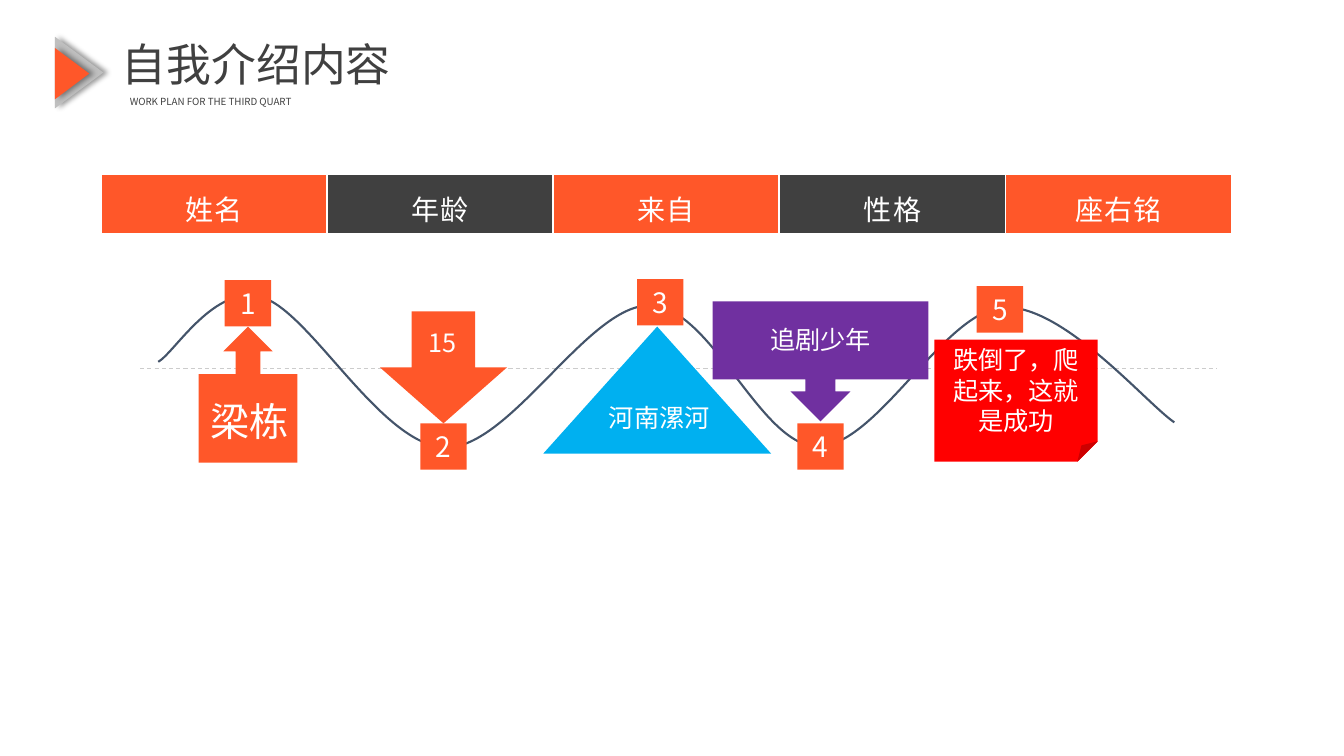
from lxml.etree import SubElement
from pptx import Presentation
from pptx.dml.color import RGBColor
from pptx.enum.dml import MSO_LINE
from pptx.enum.shapes import MSO_CONNECTOR, MSO_SHAPE as SHAPE
from pptx.enum.text import MSO_ANCHOR as ANCHOR, MSO_AUTO_SIZE as AUTO_SIZE, PP_ALIGN as ALIGN
from pptx.oxml import parse_xml
from pptx.oxml.ns import nsdecls, qn
from pptx.util import Inches, Pt

FONT = "Noto Sans CJK SC"
COLORS = {
    "orange": "FF5729", "dark": "404040", "white": "FFFFFF", "gray": "BFBFBF",
    "dash": "CCCCCC", "navy": "44546A", "blue": "00B0F0", "purple": "7030A0",
    "red": "FF0000",
}


def color(name):
    return RGBColor.from_string(COLORS[name])


def set_format(target, **values):
    for name, value in values.items():
        setattr(target, name, value)


def write(text_frame, text, size, ink="white", align=ALIGN.CENTER, spacing=None):
    paragraph = text_frame.paragraphs[0]
    set_format(paragraph, alignment=align, line_spacing=spacing)
    run = paragraph.add_run()
    run.text = text
    set_format(run.font, size=Pt(size), name=FONT)
    run.font.color.rgb = color(ink)
    SubElement(run.font._element, qn("a:ea")).set("typeface", FONT)
    return run


def add_text(parent, box, text, size, **options):
    text_box = parent.shapes.add_textbox(*map(Inches, box))
    set_format(text_box.text_frame, word_wrap=True, auto_size=AUTO_SIZE.SHAPE_TO_FIT_TEXT)
    write(text_box.text_frame, text, size, **options)


def add_block(parent, kind, box, fill):
    shape = parent.shapes.add_shape(kind, *map(Inches, box))
    shape.shadow.inherit = False
    shape.fill.solid()
    shape.fill.fore_color.rgb = color(fill)
    shape.line.fill.background()
    return shape


def add_shadow(shape):
    effects = shape._element.spPr.find(qn("a:effectLst"))
    effects.append(parse_xml(
        f'<a:outerShdw {nsdecls("a")} blurRad="{Pt(4)}" dist="{Pt(3)}" dir="0" '
        'algn="l" rotWithShape="0"><a:srgbClr val="000000">'
        '<a:alpha val="40000"/></a:srgbClr></a:outerShdw>'))


def add_heading(slide, left, top):
    group = slide.shapes.add_group_shape()
    add_text(group, (left + 0.68, top, 3.83, 0.64), "自我介绍内容", 32,
             ink="dark", align=ALIGN.JUSTIFY)
    add_text(group, (left + 0.76, top + 0.52, 4.16, 0.26),
             "WORK PLAN FOR THE THIRD QUART", 7,
             ink="dark", align=ALIGN.JUSTIFY, spacing=1.5)
    for x, y, width, height, fill in ((0, 0.16, 0.71, 0.48, "gray"),
                                      (0.03, 0.24, 0.51, 0.34, "orange")):
        triangle = add_block(group, SHAPE.ISOSCELES_TRIANGLE,
                             (left + x, top + y, width, height), fill)
        triangle.rotation = 90
        add_shadow(triangle)


def add_borders(cell):
    properties = cell._tc.get_or_add_tcPr()
    for index, side in enumerate(("lnL", "lnR", "lnT", "lnB")):
        properties.insert(index, parse_xml(
            f'<a:{side} {nsdecls("a")} w="{Pt(1.5)}"><a:solidFill>'
            f'<a:srgbClr val="{COLORS["white"]}"/></a:solidFill></a:{side}>'))


def add_profile_table(slide, left, top, width):
    headers = ("姓名", "年龄", "来自", "性格", "座右铭")
    heights = (0.59, 2.17, 2.01)
    table = slide.shapes.add_table(
        len(heights), len(headers),
        *map(Inches, (left, top, width, sum(heights)))).table
    set_format(table, first_row=False, horz_banding=False)
    for column in table.columns:
        column.width = Inches(width / len(headers))
    for row, height in zip(table.rows, heights):
        row.height = Inches(height)
    for cell in table.iter_cells():
        cell.fill.background()
        add_borders(cell)
    for index, header in enumerate(headers):
        cell = table.cell(0, index)
        cell.fill.solid()
        cell.fill.fore_color.rgb = color("dark" if index % 2 else "orange")
        set_format(cell, margin_left=Inches(0.13), margin_right=Inches(0.13),
                   margin_top=Inches(0.13), margin_bottom=Inches(0.06))
        write(cell.text_frame, header, 20).font._element.set("spc", "100")


def add_curve(parent, start, segments):
    builder = parent.shapes.build_freeform(*start)
    builder.add_line_segments([segment[-1] for segment in segments], close=False)
    curve = builder.convert_to_shape()
    lines = list(curve._element.iter(qn("a:lnTo")))
    for line, segment in zip(lines, segments):
        line.tag = qn("a:cubicBezTo")
        line.clear()
        for x, y in segment:
            point = SubElement(line, qn("a:pt"))
            point.set("x", str(x - curve.left))
            point.set("y", str(y - curve.top))
    curve.shadow.inherit = False
    curve.fill.background()
    return curve


def add_wave(slide, left, top):
    group = slide.shapes.add_group_shape()
    axis = group.shapes.add_connector(
        MSO_CONNECTOR.STRAIGHT, *map(Inches, (left, top + 0.89, left + 10.68, top + 0.89)))
    SubElement(axis._element.spPr, qn("a:effectLst"))
    axis.line.color.rgb = color("dash")
    set_format(axis.line, width=Pt(0.75), dash_style=MSO_LINE.DASH)

    def place(point):
        return Inches(left + point[0]), Inches(top + point[1])

    segments = (
        ((0.35, 0.72), (0.74, 0.04), (1.21, 0.18)),
        ((1.69, 0.32), (2.39, 1.65), (3.03, 1.67)),
        ((3.67, 1.68), (4.44, 0.26), (5.05, 0.26)),
        ((5.67, 0.26), (6.14, 1.65), (6.72, 1.66)),
        ((7.31, 1.66), (7.97, 0.32), (8.56, 0.28)),
        ((9.15, 0.24), (9.98, 1.23), (10.26, 1.42)),
    )
    wave = add_curve(group, place((0.18, 0.82)),
                     [[place(point) for point in segment] for segment in segments])
    wave.line.color.rgb = color("navy")
    wave.line.width = Pt(1.5)

    badges = ((0.84, 0.01), (2.78, 1.43), (4.93, 0), (6.52, 1.43), (8.3, 0.07))
    for number, (x, y) in enumerate(badges, 1):
        badge = add_block(group, SHAPE.RECTANGLE, (left + x, top + y, 0.46, 0.46), "orange")
        margins = {f"margin_{side}": Inches(0.13)
                   for side in ("left", "top", "right", "bottom")}
        set_format(badge.text_frame, vertical_anchor=ANCHOR.MIDDLE, **margins)
        write(badge.text_frame, str(number), 20)


def add_callout(slide, box, kind, fill, text, size, text_box):
    add_block(slide, kind, box, fill)
    x, y, width, height = text_box
    add_text(slide, (box[0] + x, box[1] + y, width, height), text, size)


def main():
    presentation = Presentation()
    set_format(presentation, slide_width=Inches(40 / 3), slide_height=Inches(7.5))
    slide = presentation.slides.add_slide(presentation.slide_layouts[6])
    add_heading(slide, 0.43, 0.32)
    add_profile_table(slide, 1, 1.73, 11.22)
    add_wave(slide, 1.39, 2.77)
    callouts = (
        ((1.97, 3.24, 0.98, 1.35), SHAPE.UP_ARROW_CALLOUT, "orange",
         "梁栋", 28, (-0.54, 0.65, 2.1, 0.57)),
        ((3.77, 3.09, 1.26, 1.11), SHAPE.DOWN_ARROW, "orange",
         "15", 18, (0.28, 0.11, 0.68, 0.4)),
        ((5.39, 3.24, 2.26, 1.26), SHAPE.ISOSCELES_TRIANGLE, "blue",
         "河南漯河", 18, (0.46, 0.7, 1.38, 0.4)),
        ((7.07, 2.99, 2.14, 1.19), SHAPE.DOWN_ARROW_CALLOUT, "purple",
         "追剧少年", 18, (0, 0.18, 2.14, 0.4)),
        ((9.27, 3.37, 1.62, 1.21), SHAPE.FOLDED_CORNER, "red",
         "跌倒了，爬起来，这就是成功", 18, (0, 0, 1.62, 1.01)),
    )
    for callout in callouts:
        add_callout(slide, *callout)
    presentation.save("out.pptx")


if __name__ == "__main__":
    main()
